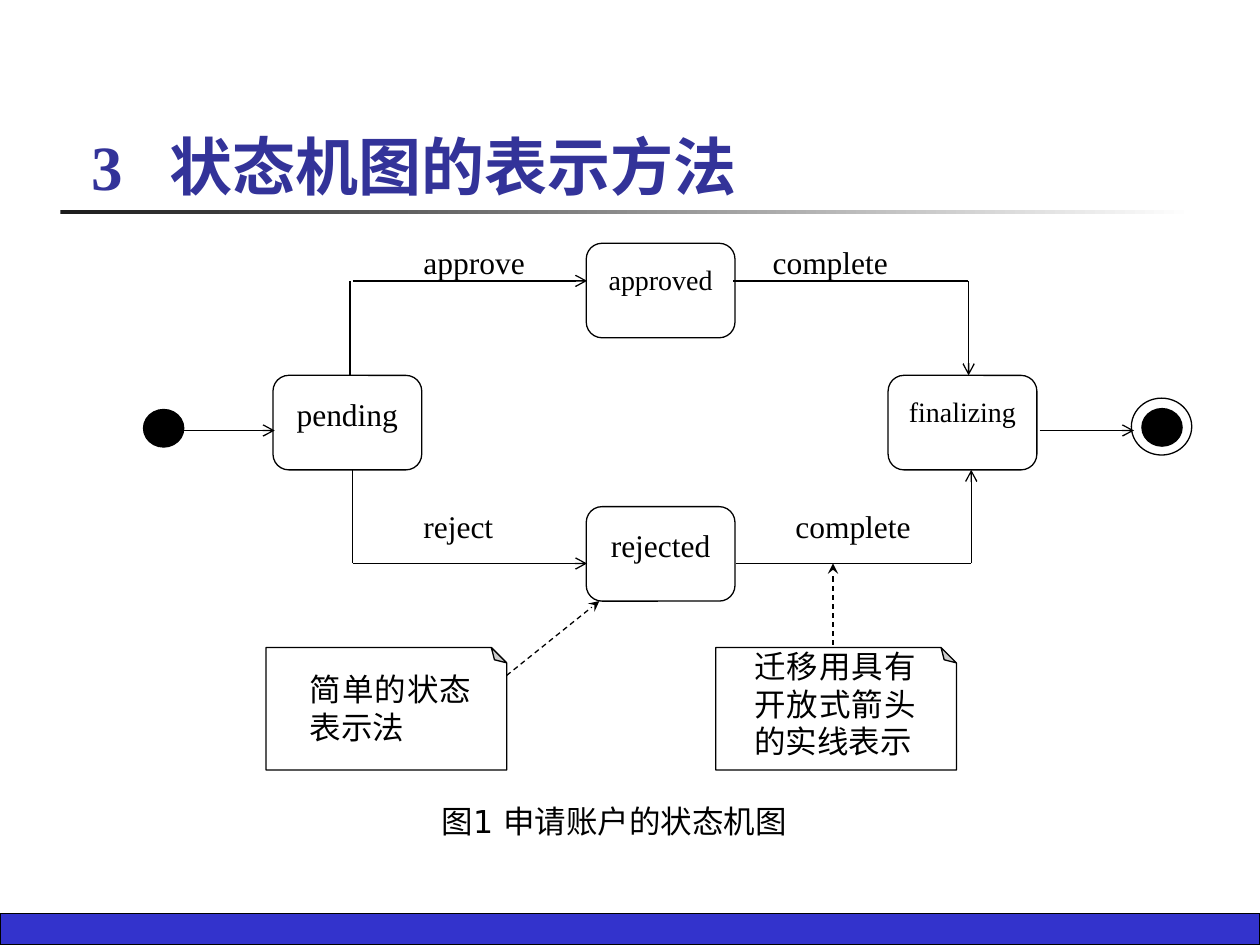
from lxml import etree
from pptx import Presentation
from pptx.dml.color import RGBColor
from pptx.enum import dml, shapes, text
from pptx.oxml.ns import qn
from pptx.util import Pt

BLACK = RGBColor(0x00, 0x00, 0x00)
WHITE = RGBColor(0xFF, 0xFF, 0xFF)
CHARCOAL = RGBColor(0x1C, 0x1C, 0x1C)
BLUE = RGBColor(0x33, 0x33, 0xCC)
NAVY = RGBColor(0x33, 0x33, 0x99)
SERIF, SANS = "Times New Roman", "DejaVu Sans"
SHAPE, ALIGN, ANCHOR = shapes.MSO_SHAPE, text.PP_ALIGN, text.MSO_ANCHOR


def write(shape, words, size=18, align=ALIGN.JUSTIFY, insets=(7.2, 3.6, 7.2, 3.6),
          anchor=ANCHOR.TOP, font=SERIF, color=BLACK, bold=False):
    frame = shape.text_frame
    frame.word_wrap = True
    frame.vertical_anchor = anchor
    frame.margin_left, frame.margin_top, frame.margin_right, frame.margin_bottom = map(Pt, insets)
    frame.text = words
    paragraph = frame.paragraphs[0]
    paragraph.alignment = align
    for run in paragraph.runs:
        run.font.name, run.font.size, run.font.bold = font, Pt(size), bold
        run.font.color.rgb = color
    return paragraph


def add_text(slide, left, top, width, height, words, **style):
    box = slide.shapes.add_textbox(Pt(left), Pt(top), Pt(width), Pt(height))
    return write(box, words, **style)


def add_shape(slide, kind, left, top, width, height, fill=WHITE, outline=True):
    shape = slide.shapes.add_shape(kind, Pt(left), Pt(top), Pt(width), Pt(height))
    shape.shadow.inherit = False
    shape.fill.solid()
    shape.fill.fore_color.rgb = fill
    if outline:
        shape.line.color.rgb = BLACK
        shape.line.width = Pt(0.75)
    else:
        shape.line.fill.background()
    return shape


def add_line(slide, x1, y1, x2, y2, head=None, dashed=False):
    line = slide.shapes.add_connector(shapes.MSO_CONNECTOR.STRAIGHT, Pt(x1), Pt(y1), Pt(x2), Pt(y2))
    line.line.color.rgb = BLACK
    line.line.width = Pt(0.75)
    if dashed:
        line.line.dash_style = dml.MSO_LINE.DASH
    if head:
        etree.SubElement(line.line._get_or_add_ln(), qn("a:tailEnd"), type=head)
    etree.SubElement(line._element.spPr, qn("a:effectLst"))


def add_title(slide, left, top, width, height):
    # Heading, with a tab between number and words
    paragraph = add_text(slide, left, top, width, height, "3\t状态机图的表示方法", size=36,
                         align=ALIGN.LEFT, anchor=ANCHOR.BOTTOM, color=NAVY, bold=True)
    tabs = etree.SubElement(paragraph._p.get_or_add_pPr(), qn("a:tabLst"))
    etree.SubElement(tabs, qn("a:tab"), pos=str(int(Pt(45))), algn="l")
    # Fading rule under the heading
    rule = add_shape(slide, SHAPE.RECTANGLE, left - 10.5, top + height + 0.5, 648, 2.2, outline=False)
    rule.fill.gradient()
    rule.fill.gradient_angle = 0
    for stop, color in zip(rule.fill.gradient_stops, (CHARCOAL, WHITE)):
        stop.color.rgb = color


def add_state_machine(slide, left, top):
    node_width, node_height = 85, 54
    columns, rows = (74, 253, 425.5), (0, 75.5, 150.5)
    upper, middle, lower = 21.5, 107, 183

    # States
    for name, column, row, size in (("pending", 0, 1, 18), ("approved", 1, 0, 16),
                                    ("finalizing", 2, 1, 16), ("rejected", 1, 2, 18)):
        node = add_shape(slide, SHAPE.FLOWCHART_ALTERNATE_PROCESS, left + columns[column],
                         top + rows[row], node_width, node_height)
        write(node, name, size, ALIGN.CENTER, insets=(7.2, 8.6, 7.2, 3.6))

    # Start and end markers
    for x, y, width, height, fill in ((0, 95, 23, 21.5, BLACK), (564.5, 88.5, 34.5, 32.5, WHITE),
                                      (570.5, 94.5, 23, 21.5, BLACK)):
        add_shape(slide, SHAPE.OVAL, left + x, top + y, width, height, fill)

    # Transitions
    node_bottom = rows[1] + node_height
    for x1, y1, x2, y2, head in (
            (21, middle, 75, middle, "arrow"),
            (118, upper, 118, rows[1], None),
            (119.5, upper, 253.5, upper, "arrow"),
            (337, upper, 471, upper, None),
            (471.5, upper, 471.5, rows[1], "arrow"),
            (119.5, node_bottom, 119.5, lower, None),
            (119.5, lower, 253.5, lower, "arrow"),
            (338.5, lower, 473, lower, None),
            (473, lower, 473, node_bottom, "arrow"),
            (512, middle, 566, middle, "arrow")):
        add_line(slide, left + x1, top + y1, left + x2, top + y2, head)

    # Transition names
    for name, x, row in (("approve", 160, 0), ("complete", 359.5, 0),
                         ("reject", 160, 2), ("complete", 372.5, 2)):
        add_text(slide, left + x, top + rows[row], 80, 32.5, name, insets=(0, 0, 0, 0))


def add_note(slide, left, top, words, text_offset, arrow):
    width, height = 137.5, 70
    # A half turn with a flip puts the fold at the upper right
    note = add_shape(slide, SHAPE.FOLDED_CORNER, left, top, width, height)
    guides = note._element.spPr.find(qn("a:prstGeom")).find(qn("a:avLst"))
    etree.SubElement(guides, qn("a:gd"), name="adj", fmla="val 12500")
    note.rotation = 180
    note._element.spPr.find(qn("a:xfrm")).set("flipH", "1")
    dx, dy = text_offset
    add_text(slide, left + dx, top + dy, 106.5, height, words)
    x1, y1, x2, y2 = arrow
    add_line(slide, left + x1, top + y1, left + x2, top + y2, "stealth", dashed=True)


def main():
    presentation = Presentation()
    presentation.slide_width, presentation.slide_height = Pt(720), Pt(540)
    slide = presentation.slides.add_slide(presentation.slide_layouts[6])

    # Footer band
    add_shape(slide, SHAPE.RECTANGLE, 0, 522, 720, 18, BLUE)
    add_title(slide, 45, 24, 630, 95.5)
    add_state_machine(slide, 82, 139)
    add_note(slide, 152, 370, "简单的状态表示法", (18, 9.5), (137.5, 16, 190.5, -26.5))
    add_note(slide, 409, 370, "迁移用具有开放式箭头的实线表示", (15, -4), (67, -1.5, 67, -48))
    # Caption
    add_text(slide, 237.5, 455, 227, 36, "图1 申请账户的状态机图", align=ALIGN.CENTER, font=SANS)
    presentation.save("out.pptx")


if __name__ == "__main__":
    main()
